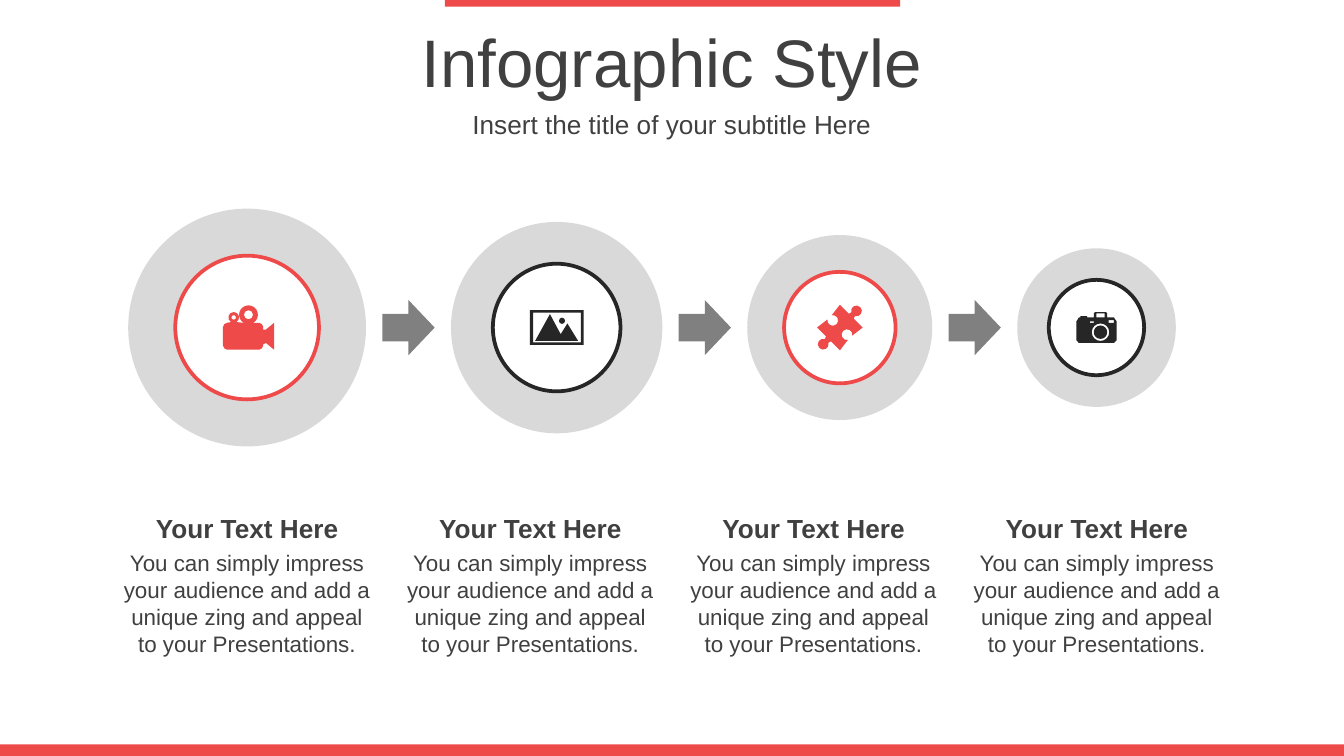
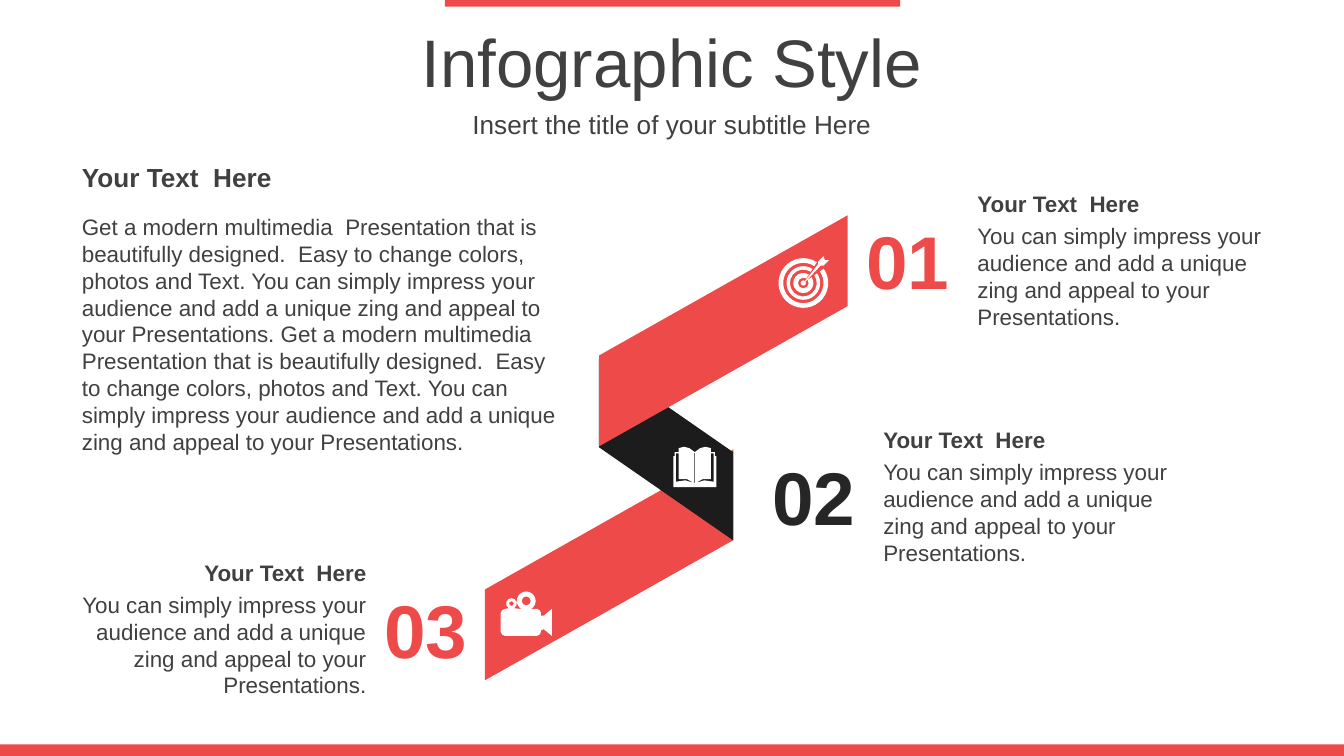
from copy import deepcopy
from math import ceil, cos, radians, sin, tan

from pptx import Presentation
from pptx.dml.color import RGBColor
from pptx.enum.shapes import MSO_SHAPE
from pptx.enum.text import MSO_ANCHOR, PP_ALIGN
from pptx.oxml.ns import qn
from pptx.util import Pt

RED = RGBColor(0xEF, 0x4A, 0x4A)
DARK = RGBColor(0x26, 0x26, 0x26)
BLACK = RGBColor(0x1C, 0x1C, 0x1C)
INK = RGBColor(0x40, 0x40, 0x40)
GREY = RGBColor(0x80, 0x80, 0x80)
PALE = RGBColor(0xD9, 0xD9, 0xD9)
WHITE = RGBColor(0xFF, 0xFF, 0xFF)

RECT, OVAL = MSO_SHAPE.RECTANGLE, MSO_SHAPE.OVAL
ARROW, SLANT = MSO_SHAPE.RIGHT_ARROW, MSO_SHAPE.PARALLELOGRAM
LEFT, CENTER, RIGHT = PP_ALIGN.LEFT, PP_ALIGN.CENTER, PP_ALIGN.RIGHT
MIDDLE = MSO_ANCHOR.MIDDLE

WIDTH, HEIGHT = 720, 405
UNIT = 0.72
PITCH = "You can simply impress your audience and add a unique zing and appeal to your Presentations."
MODERN = ("Get a modern multimedia  Presentation that is beautifully designed.  "
          "Easy to change colors, photos and Text. ")


def arc(x, y, r, start=0, end=360):
    """Return a start point and cubic curves, clockwise when end exceeds start."""
    count = ceil(abs(end - start) / 90)
    step = radians(end - start) / count
    pull = r * 4 / 3 * tan(step / 4)
    out = [(x + r * cos(radians(start)), y + r * sin(radians(start)))]
    for i in range(count):
        a = radians(start) + i * step
        b = a + step
        px, py = x + r * cos(a), y + r * sin(a)
        qx, qy = x + r * cos(b), y + r * sin(b)
        out.append((px - pull * sin(a), py + pull * cos(a),
                    qx + pull * sin(b), qy - pull * cos(b), qx, qy))
    return out


def box(left, top, right, bottom):
    """Return the corners of a rectangle."""
    return [(left, top), (right, top), (right, bottom), (left, bottom)]


def ring(outer, inner):
    """Return a target ring that is open where the dart enters."""
    return arc(19, 20, outer, -35, 303) + arc(19, 20, inner, 303, -35)


def flip(points):
    """Return points mirrored about the spine of the book."""
    return [(32 - x, y) for x, y in points]


COVER = [(0, 30), (0, 7), (1, 7), (1, 4), (4, 4), (4, 1), (8, 0), (12, 1), (16, 4)]
PAGE = [(2, 5), (2, 26), (9, 25), (15.5, 27), (10, 24), (4, 24), (4, 5)]

ICONS = {
    "film": (36, 33, [
        [(0, 16), (1, 14), (3, 13)] + arc(8, 9, 4, 120, 420) + arc(19, 7, 7, 120, 420)
        + [(27, 13), (29, 14), (30, 16), (30, 18), (32, 18), (38, 13), (38, 33), (32, 28),
           (30, 29), (30, 30), (29, 32), (27, 33), (3, 33), (1, 32), (0, 30)],
        arc(8, 9, 1.7), arc(19, 7, 3.4)]),
    "photo": (40, 26, [
        box(0, 0, 40, 26), box(2.5, 2, 38, 24), arc(24, 8, 2.3),
        [(15, 3), (23, 18), (28, 10), (36, 23), (4, 23)]]),
    "puzzle": (24, 43, [
        [(0, 9.5), (9.5, 9.5)] + arc(12, 4, 4, 120, 420) + [(14.5, 9.5), (24, 9.5)]
        + arc(19.5, 21.5, 4, -35, -325) + [(24, 33.5), (14.5, 33.5)]
        + arc(12, 39, 4, -60, 240) + [(9.5, 33.5), (0, 33.5)] + arc(4.5, 21.5, 4, 145, -145)]),
    "camera": (30, 23, [
        [(14, 0), (22, 0), (23, 1), (23, 4), (28, 4), (30, 7), (30, 21), (28, 23), (2, 23),
         (0, 21), (0, 7), (2, 4), (3, 4), (3, 3), (8, 3), (8, 4), (13, 4), (13, 1)],
        arc(18, 15, 6.5), arc(18, 15, 5), box(10, 7, 13, 8), box(24, 6, 28, 8),
        box(15, 1, 21, 4)]),
    "book": (32, 30, [
        COVER + flip(COVER[::-1]), PAGE, flip(PAGE), box(15.8, 4.5, 16.2, 27)]),
    "target": (38, 38, [
        ring(18.5, 15), ring(12.5, 10), ring(7.5, 4), arc(19, 20, 2),
        [(20.3, 18.5), (30, 6), (30, 4), (34, 0), (35, 3), (38, 3), (34, 7), (32, 7),
         (20.7, 19)]]),
}


class Deck:
    """Hold the shared style and the current slide."""

    def __init__(self):
        self.show = Presentation()
        self.show.slide_width, self.show.slide_height = Pt(WIDTH), Pt(HEIGHT)

    def start(self, title, subtitle):
        """Add a slide with its bands and heading."""
        self.slide = self.show.slides.add_slide(self.show.slide_layouts[6])
        self.shape(RECT, 238.3, 0, 244, 3.6, RED)
        self.shape(RECT, 0, 398.8, WIDTH, 6.2, RED)
        self.text(title, 0, 10, WIDTH, 45.4, size=36, align=CENTER)
        self.text(subtitle, 0, 55.4, WIDTH, 22.3, size=14, align=CENTER)

    def paint(self, shape, fill, line=None):
        """Set fill and outline, and drop the shadow."""
        shape.shadow.inherit = False
        shape.fill.solid()
        shape.fill.fore_color.rgb = fill
        if line is None:
            shape.line.fill.background()
        else:
            shape.line.color.rgb = line
            shape.line.width = Pt(2)
        return shape

    def shape(self, kind, x, y, w, h, fill, line=None):
        """Add a preset shape."""
        shape = self.slide.shapes.add_shape(kind, Pt(x), Pt(y), Pt(w), Pt(h))
        return self.paint(shape, fill, line)

    def disc(self, x, y, size, fill, line=None):
        """Add a circle about a centre."""
        self.shape(OVAL, x - size / 2, y - size / 2, size, size, fill, line)

    def fold(self, x, y, w, h, fill, slant, turn, **flips):
        """Add one turned and flipped piece of the ribbon."""
        shape = self.shape(SLANT, x, y, w, h, fill)
        shape.adjustments[0] = slant
        shape.rotation = turn
        frame = shape.element.spPr.find(qn("a:xfrm"))
        for name, value in flips.items():
            frame.set(name, value)

    def bend(self, shape, points):
        """Turn the line segments that have control points into curves."""
        for node, point in zip(list(shape.element.iter(qn("a:lnTo"))), points):
            if len(point) == 2:
                continue
            last = node[0]
            dx, dy = point[4] - int(last.get("x")), point[5] - int(last.get("y"))
            node.tag = qn("a:cubicBezTo")
            for i in (0, 2):
                knob = deepcopy(last)
                knob.set("x", str(point[i] - dx))
                knob.set("y", str(point[i + 1] - dy))
                last.addprevious(knob)

    def icon(self, name, x, y, fill, turn=0):
        """Add an icon about a centre."""
        w, h, loops = ICONS[name]
        base = (x - w / 2 * UNIT, y - h / 2 * UNIT)
        loops = [[tuple(int(Pt(base[i % 2] + v * UNIT)) for i, v in enumerate(point))
                  for point in loop] for loop in loops]
        pen = self.slide.shapes.build_freeform(*loops[0][0], scale=1.0)
        for loop in loops:
            if loop is not loops[0]:
                pen.move_to(*loop[0])
            pen.add_line_segments([point[-2:] for point in loop[1:]], close=True)
        shape = self.paint(pen.convert_to_shape(), fill)
        self.bend(shape, [point for loop in loops for point in loop[1:]])
        shape.rotation = turn

    def text(self, text, x, y, w, h, size=12, color=INK, bold=False, align=LEFT, wrap=True):
        """Add a text box."""
        frame = self.slide.shapes.add_textbox(Pt(x), Pt(y), Pt(w), Pt(h)).text_frame
        frame.word_wrap = wrap
        frame.vertical_anchor = MIDDLE
        para = frame.paragraphs[0]
        para.text = text
        para.alignment = align
        font = para.font
        font.name, font.size, font.bold = "Arial", Pt(size), bold
        font.color.rgb = color


def draw_chain(deck):
    """Draw the four shrinking circles with their captions."""
    deck.start("Infographic Style", "Insert the title of your subtitle Here")
    left, mid, gap = 68.7, 175.5, 45.5
    steps = [("film", RED, 0), ("photo", DARK, 0), ("puzzle", RED, 45), ("camera", DARK, 0)]
    for i, (name, color, turn) in enumerate(steps):
        size = 127.4 - 14.15 * i
        x = left + size / 2
        deck.disc(x, mid, size, PALE)
        deck.disc(x, mid, 77 - 8.64 * i, WHITE, color)
        deck.icon(name, x, mid, color, turn)
        if i < len(steps) - 1:
            deck.shape(ARROW, left + size + (gap - 28) / 2, mid - 14.75, 28, 29.5, GREY)
        left += size + gap
        col = 57.9 + 151.75 * i
        deck.text("Your Text Here", col, 270.7, 149, 24.5, size=14, bold=True, align=CENTER)
        deck.text(PITCH, col, 290.2, 149, 65.5, align=CENTER)


def draw_ribbon(deck):
    """Draw the folded ribbon with its three notes."""
    deck.start("Infographic Style", "Insert the title of your subtitle Here")
    deck.fold(264.4, 236, 123.8, 133.2, RED, 0.607, 270, flipH="1")
    deck.fold(308.2, 204.9, 97.2, 72, BLACK, 0.694, 90, flipH="1", flipV="1")
    deck.fold(325.6, 110.6, 123.8, 133.2, RED, 0.607, 270, flipH="1")
    notes = [("01", RED, 457, 111.6, 516.5, LEFT), ("02", DARK, 406.6, 238.1, 466.1, LEFT),
             ("03", RED, 198.9, 309, 34.2, RIGHT)]
    for label, color, x, y, col, align in notes:
        deck.text(label, x, y, 59.8, 55.4, size=40, color=color, bold=True, wrap=False)
        deck.text("Your Text  Here", col, y - 13.3, 169.2, 21.6, bold=True, align=align)
        deck.text(PITCH, col, y + 3.6, 169.2, 65.5, align=align)
    deck.text("Your Text  Here", 36.8, 82.8, 275.8, 24.5, size=14, bold=True)
    deck.text(f"{MODERN}{PITCH} {MODERN}{PITCH}", 36.8, 109.8, 275.8, 138.2)
    deck.icon("book", 372.2, 250.2, WHITE)
    deck.icon("target", 430.4, 150.9, WHITE)
    deck.icon("film", 281.2, 328.8, WHITE)


def main():
    """Build and save the deck."""
    deck = Deck()
    draw_chain(deck)
    draw_ribbon(deck)
    deck.show.save("out.pptx")


if __name__ == "__main__":
    main()
